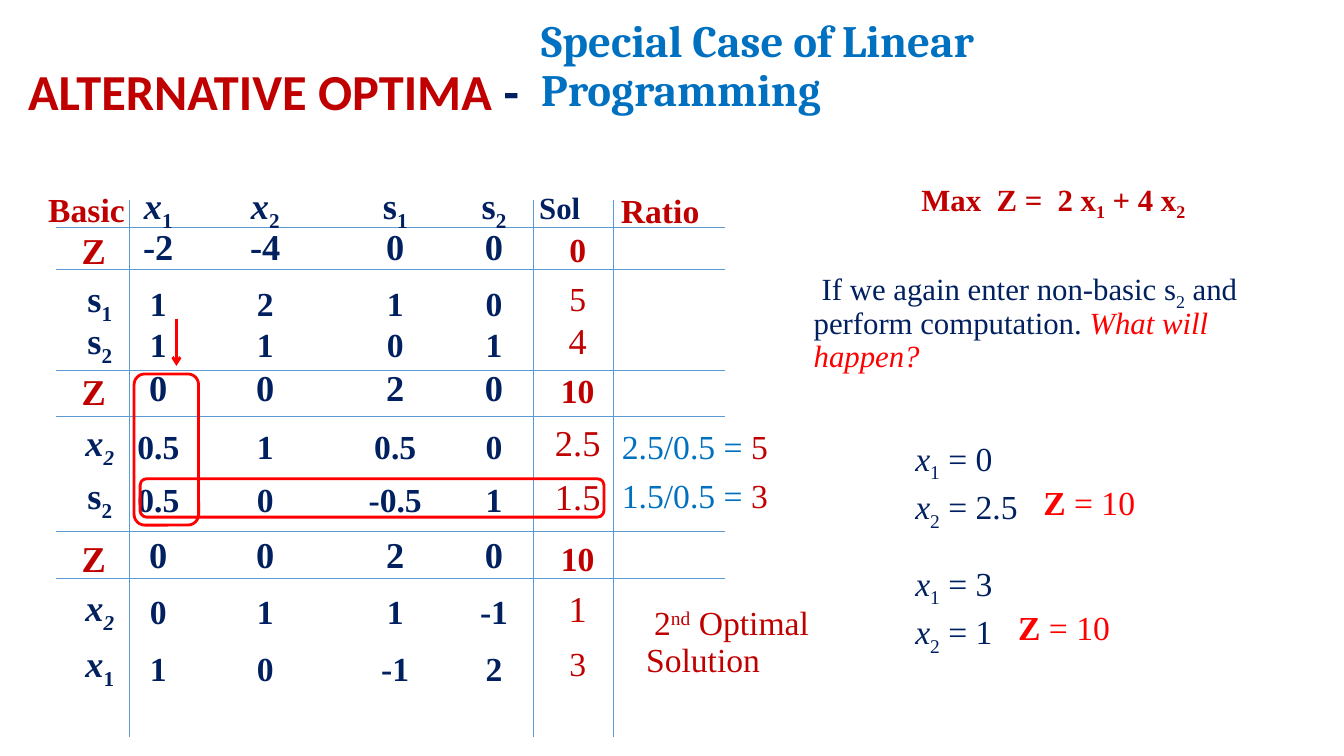
from lxml import etree
from pptx import Presentation
from pptx import util as u
from pptx.dml.color import RGBColor
from pptx.enum import shapes, text
from pptx.oxml import ns

RED, NAVY, BLUE, BRIGHT, RULE = "C00000", "002060", "0070C0", "FF0000", "5B9BD5"
SERIF = "Times New Roman"
BASELINE = {"_": "-25000", "^": "30000"}

# Column centres, in inches
LABEL, SOLUTION = 0.96, 5.73
VALUES = [1.57, 2.63, 3.92, 4.9]

HEADINGS = [("x", "1", "i"), ("x", "2", "i"), ("s", "1", ""), ("s", "2", "")]
OBJECTIVE_ROWS = [(2.22, "-2 -4 0 0", "0"), (3.62, "0 0 2 0", "10"),
                  (5.28, "0 0 2 0", "10")]
BASIC_ROWS = [  # top, variable, index, index flags, coefficients, solution, its size
    (2.8, "s", "1", "_", "1 2 1 0", "5", 24),
    (3.21, "s", "2", "_", "1 1 0 1", "4", 26),
    (4.22, "x", "2", "_i", "0.5 1 0.5 0", "2.5", 26),
    (4.75, "s", "2", "_", "0.5 0 -0.5 1", "1.5", 26),
    (5.86, "x", "2", "_i", "0 1 1 -1", "1", 26),
    (6.42, "x", "1", "_", "1 0 -1 2", "3", 24),
]


def color(code):
    return RGBColor.from_string(code)


def sub_element(parent, tag, **attributes):
    return etree.SubElement(parent, ns.qn(tag), **attributes)


def add_spans(para, spans):
    """Add (text, flags, colour) spans; flags are b, i, _ (sub) and ^ (super)."""
    for words, flags, shade in spans:
        span = para.add_run()
        span.text = words
        if "b" in flags:
            span.font.bold = True
        if "i" in flags:
            span.font.italic = True
        if shade:
            span.font.color.rgb = color(shade)
        for flag in BASELINE.keys() & set(flags):
            span._r.get_or_add_rPr().set("baseline", BASELINE[flag])


def fill_text(box, paras, size, shade, font=SERIF, bold=False, align="LEFT",
              anchor="TOP", before=5, spacing=0.9, indent=0):
    frame = box.text_frame
    frame.word_wrap = True
    frame.auto_size = text.MSO_AUTO_SIZE.NONE
    frame.vertical_anchor = text.MSO_ANCHOR[anchor]
    for number, spans in enumerate(paras):
        para = frame.add_paragraph() if number else frame.paragraphs[0]
        para.alignment = text.PP_ALIGN[align]
        para.line_spacing = spacing
        para.space_before = u.Pt(before)
        props = para._p.get_or_add_pPr()
        props.set("marL", "0")
        props.set("indent", str(u.Inches(indent)))
        sub_element(props, "a:buNone")
        para.font.name = font
        para.font.size = u.Pt(size)
        para.font.bold = bold
        para.font.color.rgb = color(shade)
        add_spans(para, spans)


def place(box, left, top, width, height):
    box.left, box.top, box.width, box.height = map(u.Inches, (left, top, width, height))


def add_text(page, area, paras, size, shade, **style):
    if isinstance(paras, str):
        paras = [[(paras, "", None)]]
    box = page.shapes.add_textbox(*map(u.Inches, area))
    fill_text(box, paras, size, shade, **style)


def add_cell(page, centre, top, content, size, shade, bold=True):
    add_text(page, (centre - 0.44, top, 0.88, 0.45), content, size, shade,
             bold=bold, align="CENTER")


def add_values(page, top, entries, size):
    for centre, entry in zip(VALUES, entries):
        add_cell(page, centre, top, entry, size, NAVY)


def add_line(page, start, end, shade=RULE, width=0.5, arrow=False):
    line = page.shapes.add_connector(shapes.MSO_CONNECTOR.STRAIGHT,
                                     *map(u.Inches, start + end))
    line.line.color.rgb = color(shade)
    line.line.width = u.Pt(width)
    if arrow:
        sub_element(line.line._get_or_add_ln(), "a:tailEnd", type="arrow")
    sub_element(line._element.spPr, "a:effectLst")


def add_outline(page, *area):
    outline = page.shapes.add_shape(shapes.MSO_SHAPE.ROUNDED_RECTANGLE,
                                    *map(u.Inches, area))
    outline.shadow.inherit = False
    outline.fill.background()
    outline.line.color.rgb = color(BRIGHT)
    outline.line.width = u.Pt(2)


def add_tableau(page):
    for y in (2.26, 2.67, 3.67, 4.13, 5.27, 5.74):
        add_line(page, (0.56, y), (7.19, y))
    for x in (1.28, 5.29, 6.08):
        add_line(page, (x, 1.98), (x, 7.31))

    add_text(page, (0.38, 1.87, 1.01, 0.42), "Basic", 24, RED, bold=True)
    add_text(page, (6.06, 1.88, 1.01, 0.42), "Ratio", 24, RED, bold=True)
    add_values(page, 1.77, [[[(name, flags, None), (index, "_", None)]]
                            for name, index, flags in HEADINGS], 26)
    add_text(page, (5.25, 1.86, 0.8, 0.42), "Sol", 22, NAVY, bold=True)

    for top, entries, solution in OBJECTIVE_ROWS:
        add_cell(page, LABEL - 0.03, top + 0.04, "Z", 26, RED)
        add_values(page, top, entries.split(), 26)
        add_cell(page, SOLUTION, top + 0.05, solution, 24, RED)

    for top, name, index, index_flags, entries, solution, size in BASIC_ROWS:
        flags = "i" if name == "x" else ""
        label = [[(name, flags, None), (index, index_flags, None)]]
        add_cell(page, LABEL + 0.03, top - 0.1, label, 26, NAVY)
        add_values(page, top, entries.split(), 24)
        add_cell(page, SOLUTION, top - 0.05, solution, size, RED, bold=False)

    for top, division, ratio in ((4.22, "2.5/0.5 = ", "5"), (4.71, "1.5/0.5 = ", "3")):
        add_text(page, (6.07, top, 1.94, 0.47),
                 [[(division, "", None), (ratio, "", RED)]], 24, BLUE)

    add_line(page, (1.75, 3.16), (1.75, 3.63), BRIGHT, 2, arrow=True)
    add_outline(page, 1.33, 3.71, 0.64, 1.5)
    add_outline(page, 1.39, 4.75, 4.6, 0.38)


def add_optimum(page, top, first, second, z_left):
    paras = [[("x", "i", None), (index, "_", None), (f" = {value}", "", None)]
             for index, value in (("1", first), ("2", second))]
    add_text(page, (8.98, top, 1.4, 1.03), paras, 24, NAVY)
    add_text(page, (z_left, top + 0.48, 1.3, 0.47),
             [[("Z ", "b", None), ("= 10", "", None)]], 24, BRIGHT)


def main():
    deck = Presentation()
    deck.slide_width, deck.slide_height = u.Inches(13.33), u.Inches(7.5)
    page = deck.slides.add_slide(deck.slide_layouts[1])

    title, question = page.placeholders
    place(title, 0.18, 0.55, 5.31, 0.7)
    fill_text(title, [[("ALTERNATIVE OPTIMA ", "", None), ("-", "", NAVY)]], 36, RED,
              font="Calibri", bold=True, anchor="BOTTOM", before=0)
    add_text(page, (5.27, 0.5, 7.1, 0.7), "Special Case of Linear Programming", 32, BLUE,
             font="Cambria", bold=True, anchor="BOTTOM", before=0)

    add_tableau(page)

    add_text(page, (9.04, 1.74, 3.02, 0.84),
             [[("Max  Z =  2 x", "", None), ("1", "_", None),
               (" + 4 x", "", None), ("2", "_", None)]],
             22, RED, bold=True, before=0, spacing=1.0)
    place(question, 7.97, 2.63, 5, 1.12)
    fill_text(question, [[("If we again enter non-basic s", "", None), ("2", "_", None),
                          (" and perform computation. ", "", None),
                          ("What will happen?", "i", BRIGHT)]], 22, NAVY, indent=0.08)
    add_optimum(page, 4.3, "0", "2.5", 10.25)
    add_optimum(page, 5.54, "3", "1", 10)
    add_text(page, (6.31, 5.97, 2.18, 0.84),
             [[("2", "", None), ("nd", "^", None), (" Optimal Solution", "", None)]],
             24, RED, indent=0.08)
    deck.save("out.pptx")


if __name__ == "__main__":
    main()
